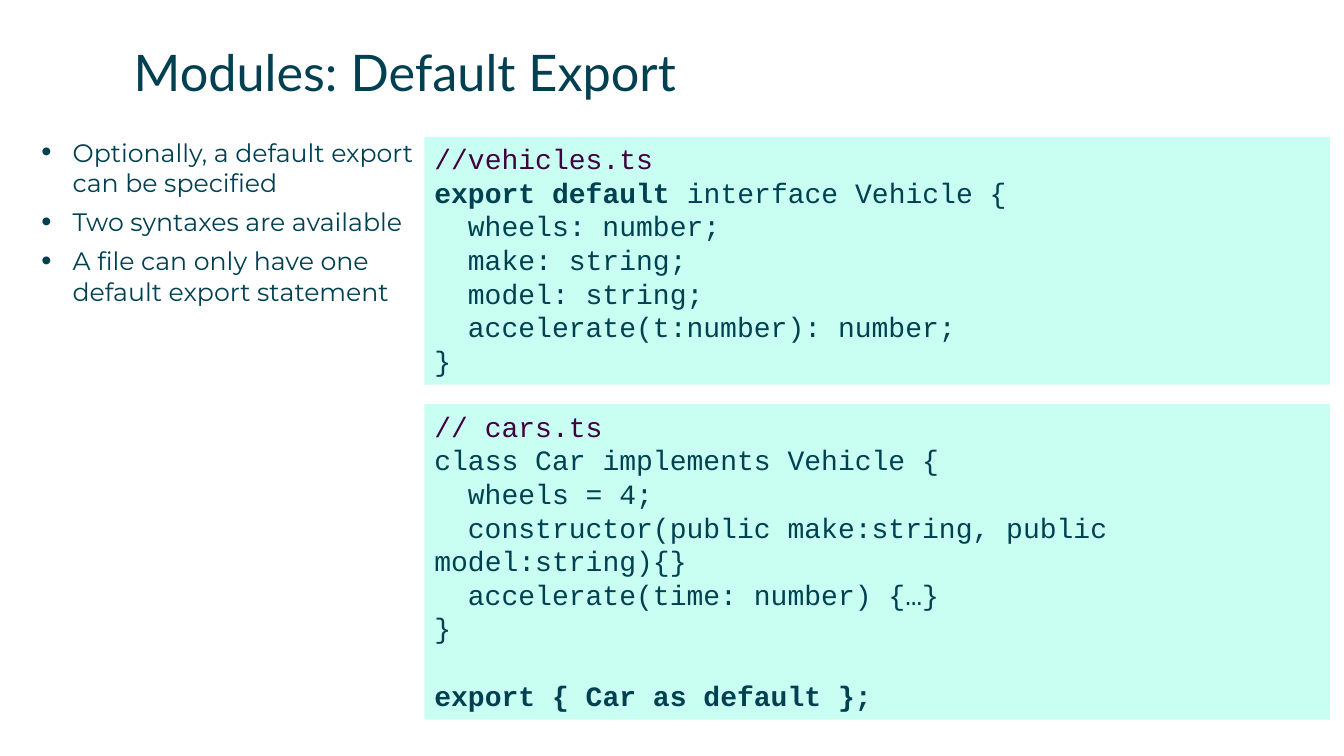
"""Builds the slide on default exports in modules."""
from lxml import etree
from pptx import Presentation
from pptx import util as u
from pptx.dml.color import RGBColor
from pptx.enum import shapes, text
from pptx.oxml import ns

WIDTH, HEIGHT = u.Inches(13.33), u.Inches(7.5)
COLS = ROWS = 100
TOP, CODE_LEFT, CODE_WIDTH = 18.1, 31.58, 67.37
INK, COMMENT, MINT = "004050", "40003E", "C8FFF2"
CODE_STEP = u.Pt(24)
BULLET_INDENT = u.Inches(0.31)

BULLETS = [
    "Optionally, a default export can be specified",
    "Two syntaxes are available",
    "A file can only have one default export statement",
]
VEHICLES = [
    (0, [("//vehicles.ts", COMMENT, False)]),
    (0, [("export default ", INK, True), ("interface Vehicle {", INK, False)]),
    (1, [("wheels: number;", INK, False)]),
    (1, [("make: string;", INK, False)]),
    (1, [("model: string;", INK, False)]),
    (1, [("accelerate(t:number): number;", INK, False)]),
    (0, [("}", INK, False)]),
]
CARS = [
    (0, [("// cars.ts", COMMENT, False)]),
    (0, [("class Car implements Vehicle {", INK, False)]),
    (1, [("wheels = 4;", INK, False)]),
    (1, [("constructor(public make:string, public model:string){}", INK, False)]),
    (1, [("accelerate(time: number) {…}", INK, False)]),
    (0, [("}", INK, False)]),
    (0, [("export { Car as default };", INK, True)]),
]


def color(value):
    """Return the colour for a hex string."""
    return RGBColor.from_string(value)


def box(col, row, cols, rows):
    """Return left, top, width and height for a block of grid cells."""
    return (int(WIDTH * col / COLS), int(HEIGHT * row / ROWS),
            int(WIDTH * cols / COLS), int(HEIGHT * rows / ROWS))


def add_run(p, words, font, size, ink=INK, bold=False):
    """Add one formatted run to a paragraph."""
    r = p.add_run()
    r.text = words
    r.font.name, r.font.size, r.font.bold = font, u.Pt(size), bold
    r.font.color.rgb = color(ink)


def add_paragraph(tf, index):
    """Return the first paragraph of a frame, or a new one, aligned left."""
    p = tf.add_paragraph() if index else tf.paragraphs[0]
    p.alignment = text.PP_ALIGN.LEFT
    p.space_before = u.Pt(0)
    return p


def set_indent(p, left, first):
    """Set the left margin and first-line indent of a paragraph."""
    pPr = p._p.get_or_add_pPr()
    pPr.set("marL", str(int(left)))
    pPr.set("indent", str(int(first)))
    return pPr


def move_placeholder(sp, place):
    """Place a placeholder and return its frame without insets."""
    sp.left, sp.top, sp.width, sp.height = place
    tf = sp.text_frame
    tf.margin_left = tf.margin_top = tf.margin_right = tf.margin_bottom = 0
    tf.word_wrap, tf.auto_size = True, text.MSO_AUTO_SIZE.NONE
    tf.vertical_anchor = text.MSO_ANCHOR.TOP
    return tf


def fill_title(sp, words):
    """Write the slide title."""
    tf = move_placeholder(sp, box(9.95, 5.5, 86.93, 7.6))
    add_run(add_paragraph(tf, 0), words, "Lato", 36)


def fill_bullets(sp, items):
    """Write the bulleted list."""
    tf = move_placeholder(sp, box(3.08, TOP, 28.5, 76.4))
    for i, words in enumerate(items):
        p = add_paragraph(tf, i)
        p.space_after = u.Pt(6.5)
        pPr = set_indent(p, BULLET_INDENT, -BULLET_INDENT)
        etree.SubElement(pPr, ns.qn("a:buSzPct"), val="115000")
        etree.SubElement(pPr, ns.qn("a:buChar"), char="•")
        add_run(p, words, "Montserrat", 18)


def add_code(s, row, rows, lines):
    """Add a filled code panel and return its paragraphs."""
    sp = s.shapes.add_shape(shapes.MSO_SHAPE.RECTANGLE,
                            *box(CODE_LEFT, row, CODE_WIDTH, rows))
    sp.shadow.inherit = False
    sp.fill.solid()
    sp.fill.fore_color.rgb = color(MINT)
    sp.line.fill.background()
    tf = sp.text_frame
    tf.word_wrap, tf.vertical_anchor = True, text.MSO_ANCHOR.TOP
    for i, (level, runs) in enumerate(lines):
        p = add_paragraph(tf, i)
        set_indent(p, 0, level * CODE_STEP)
        for words, ink, bold in runs:
            add_run(p, words, "Courier New", 20, ink, bold)
    return tf.paragraphs


def main():
    """Build and save the slide."""
    prs = Presentation()
    prs.slide_width, prs.slide_height = WIDTH, HEIGHT
    s = prs.slides.add_slide(prs.slide_layouts[1])
    fill_title(s.shapes.title, "Modules: Default Export")
    fill_bullets(s.placeholders[1], BULLETS)
    add_code(s, TOP, 32.8, VEHICLES)
    cars = add_code(s, 53.47, 41.73, CARS)
    cars[-1].space_before = CODE_STEP
    prs.save("out.pptx")


if __name__ == "__main__":
    main()
